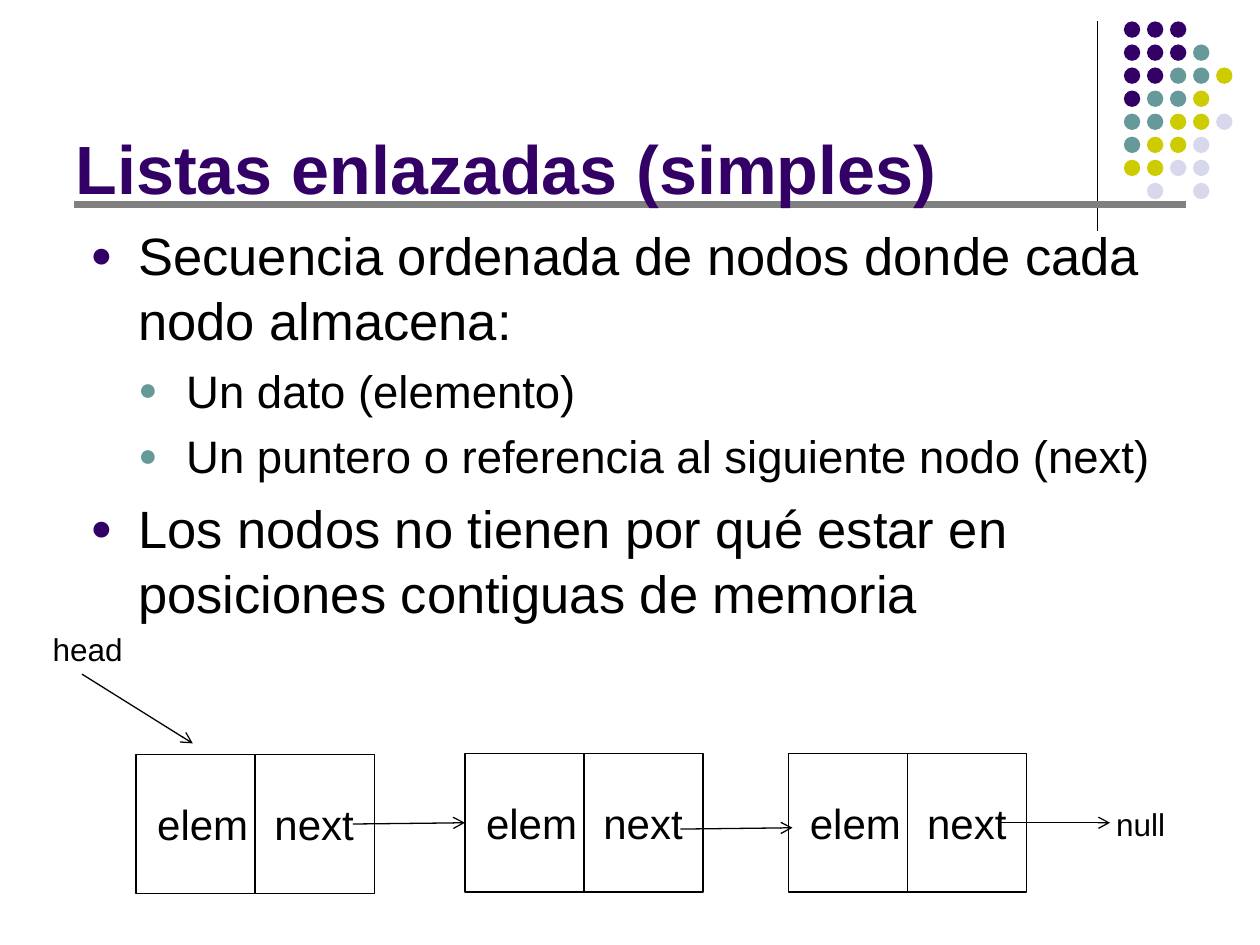
from lxml import etree
from pptx import Presentation
from pptx.dml.color import RGBColor
from pptx.enum.shapes import MSO_CONNECTOR, MSO_SHAPE
from pptx.enum.text import MSO_ANCHOR, PP_ALIGN
from pptx.oxml.ns import qn
from pptx.util import Inches, Pt

LINE = MSO_CONNECTOR.STRAIGHT
RECT, OVAL = MSO_SHAPE.RECTANGLE, MSO_SHAPE.OVAL
LEFT = PP_ALIGN.LEFT
MIDDLE, BOTTOM = MSO_ANCHOR.MIDDLE, MSO_ANCHOR.BOTTOM
LEFT_SIDE = 1

PURPLE, TEAL, BLACK, WHITE, GREY = "330066", "669999", "000000", "FFFFFF", "808080"
DOT_COLORS = {"P": PURPLE, "T": TEAL, "Y": "CCCC00", "L": "D8D8EC"}
DOT_ROWS = ["PPP", "PPPT", "PPTTY", "PTTY", "TTYYL", "TYYL", "YYLL", " L L"]
DOT_SIZE, DOT_STEP = 0.13, 0.183

# Bullet level: text size, bullet colour, space before
LEVELS = [(30, PURPLE, 6), (26, TEAL, 5.2)]
BULLETS = [
    (0, "Secuencia ordenada de nodos donde cada nodo almacena:"),
    (1, "Un dato (elemento)"),
    (1, "Un puntero o referencia al siguiente nodo (next)"),
    (0, "Los nodos no tienen por qué estar en posiciones contiguas de memoria"),
]
INDENT = 0.38

NODE_W, NODE_H = 1.89, 1.1
NODES = [(1.08, 5.99), (3.69, 5.98), (6.26, 5.98)]


def rgb(color):
    return RGBColor.from_string(color)


def add_run(p, text, size, color=BLACK, bold=False):
    r = p.add_run()
    r.text = text
    for name, value in {"name": "Arial", "size": Pt(size), "bold": bold}.items():
        setattr(r.font, name, value)
    r.font.color.rgb = rgb(color)


def add_line(s, start, end, color=BLACK, width=0.75, arrow=False):
    line = s.shapes.add_connector(LINE, *map(Inches, start + end))
    line.line.color.rgb = rgb(color)
    line.line.width = Pt(width)
    if arrow:
        etree.SubElement(line.line._get_or_add_ln(), qn("a:tailEnd"), type="arrow")
    etree.SubElement(line._element.spPr, qn("a:effectLst"))
    return line


def add_shape(s, kind, box, fill, outline=None):
    sp = s.shapes.add_shape(kind, *map(Inches, box))
    sp.shadow.inherit = False
    sp.fill.solid()
    sp.fill.fore_color.rgb = rgb(fill)
    if outline:
        sp.line.color.rgb = rgb(outline)
        sp.line.width = Pt(0.75)
    else:
        sp.line.fill.background()
    return sp


def add_text_box(s, box):
    tf = s.shapes.add_textbox(*map(Inches, box)).text_frame
    tf.word_wrap = True
    return tf


def add_decoration(s):
    add_line(s, (8.71, 0.17), (8.71, 1.83))
    for row, codes in enumerate(DOT_ROWS):
        for col, code in enumerate(codes):
            if code in DOT_COLORS:
                box = (8.92 + col * DOT_STEP, 0.17 + row * DOT_STEP, DOT_SIZE, DOT_SIZE)
                add_shape(s, OVAL, box, DOT_COLORS[code])
    add_line(s, (0.59, 1.62), (9.41, 1.62), GREY, 4)


def add_title(s, text):
    title = s.shapes.title
    # Bring the title in front of the decoration
    s.shapes._spTree.append(title._element)
    box = {"left": 0.5, "top": 0.13, "width": 8.25, "height": 1.57}
    for name, value in box.items():
        setattr(title, name, Inches(value))
    tf = title.text_frame
    tf.vertical_anchor = BOTTOM
    tf.paragraphs[0].alignment = LEFT
    add_run(tf.paragraphs[0], text, 39, PURPLE, True)


def add_bullets(s):
    tf = add_text_box(s, (0.62, 1.7, 9, 3.21))
    for i, (level, text) in enumerate(BULLETS):
        size, color, space = LEVELS[level]
        p = tf.add_paragraph() if i else tf.paragraphs[0]
        p.level = level
        p.line_spacing = 1.04
        if i:
            p.space_before = Pt(space)
        pPr = p._p.get_or_add_pPr()
        pPr.set("marL", str(Inches(INDENT * (level + 1))))
        pPr.set("indent", str(Inches(-INDENT)))
        bullet_color = etree.SubElement(pPr, qn("a:buClr"))
        etree.SubElement(bullet_color, qn("a:srgbClr"), val=color)
        etree.SubElement(pPr, qn("a:buSzPct"), val="70000")
        etree.SubElement(pPr, qn("a:buFont"), typeface="Arial")
        etree.SubElement(pPr, qn("a:buChar"), char="●")
        add_run(p, text, size)


def add_node(s, x, y):
    node = add_shape(s, RECT, (x, y, NODE_W, NODE_H), WHITE, BLACK)
    tf = node.text_frame
    tf.word_wrap = False
    tf.vertical_anchor = MIDDLE
    p = tf.paragraphs[0]
    p.alignment = LEFT
    add_run(p, " ", 18)
    add_run(p, "elem\tnext", 24)
    middle = x + NODE_W / 2
    add_line(s, (middle, y), (middle, y + NODE_H))
    return node


def add_label(s, text, box):
    add_run(add_text_box(s, box).paragraphs[0], text, 18)


def add_linked_list(s):
    nodes = [add_node(s, x, y) for x, y in NODES]
    # Pointers: head, between nodes, and the final null
    first_link = add_line(s, (2.8, 6.54), (3.69, 6.53), arrow=True)
    first_link.end_connect(nodes[1], LEFT_SIDE)
    add_line(s, (5.4, 6.58), (6.29, 6.57), arrow=True)
    add_line(s, (0.65, 5.35), (1.53, 5.9), arrow=True)
    add_line(s, (7.92, 6.53), (8.81, 6.53), arrow=True)
    add_label(s, "head", (0.32, 4.95, 0.8, 0.4))
    add_label(s, "null", (8.76, 6.34, 0.82, 0.4))


def main():
    prs = Presentation()
    prs.slide_width, prs.slide_height = Inches(10), Inches(7.5)
    s = prs.slides.add_slide(prs.slide_layouts[5])
    add_decoration(s)
    add_title(s, "Listas enlazadas (simples)")
    add_bullets(s)
    add_linked_list(s)
    prs.save("out.pptx")


if __name__ == "__main__":
    main()
